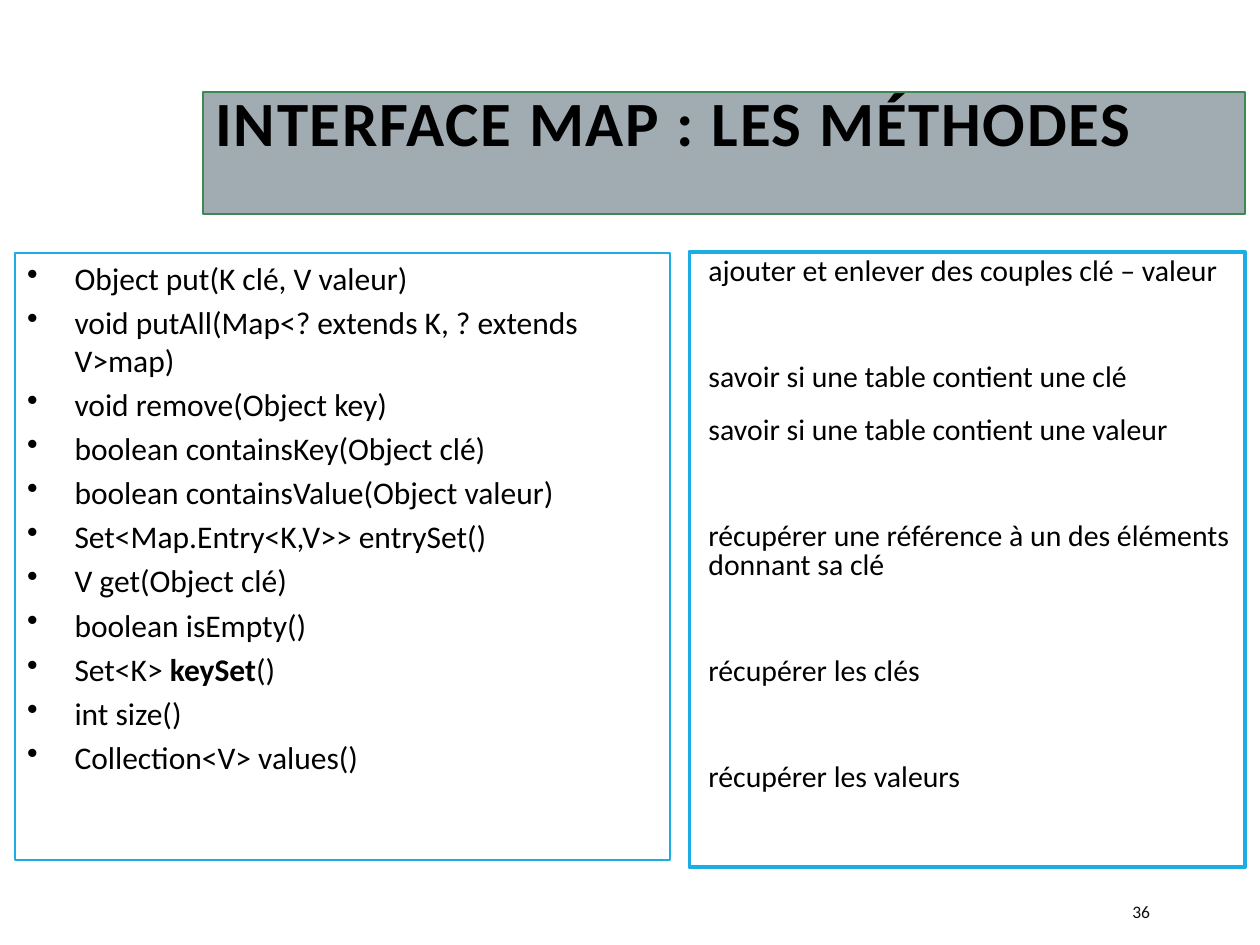
import pptx
import pptx.util
import pptx.dml.color
import pptx.enum.shapes
import pptx.enum.text
from lxml import etree

Pt = pptx.util.Pt
ANCHOR = pptx.enum.text.MSO_ANCHOR
ALIGN = pptx.enum.text.PP_ALIGN
RECT = pptx.enum.shapes.MSO_SHAPE.RECTANGLE
NS = "{http://schemas.openxmlformats.org/drawingml/2006/main}"


def color(code):
    return pptx.dml.color.RGBColor.from_string(code)


class Page:
    font = "Calibri"
    ink = "000000"
    blue = "1CADE4"

    def __init__(self, deck):
        self.slide = deck.slides.add_slide(deck.slide_layouts[6])

    def panel(self, left, top, width, height, line, weight, fill=None, inset=None):
        box = self.slide.shapes.add_shape(
            RECT, Pt(left), Pt(top), Pt(width), Pt(height))
        box.shadow.inherit = False
        if fill:
            box.fill.solid()
            box.fill.fore_color.rgb = color(fill)
        else:
            box.fill.background()
        box.line.color.rgb = color(line)
        box.line.width = Pt(weight)
        frame = box.text_frame
        frame.word_wrap = True
        frame.vertical_anchor = ANCHOR.TOP
        if inset is not None:
            frame.margin_left = frame.margin_right = Pt(inset)
            frame.margin_top = frame.margin_bottom = Pt(inset)
        return frame

    def label(self, left, top, width, height):
        frame = self.slide.shapes.add_textbox(
            Pt(left), Pt(top), Pt(width), Pt(height)).text_frame
        frame.word_wrap = True
        frame.vertical_anchor = ANCHOR.MIDDLE
        return frame

    def style(self, run, size, ink=None, bold=False):
        run.font.name = self.font
        run.font.size = Pt(size)
        run.font.bold = bold
        run.font.color.rgb = color(ink or self.ink)

    def put(self, frame, lines, size, ink=None, bold=False, space=None,
            before=0, after=0, indent=0, bullet=None, strong=None):
        frame.text = "\n".join(lines)
        for para in frame.paragraphs:
            para.alignment = ALIGN.LEFT
            para.line_spacing = space
            para.space_before = Pt(before)
            para.space_after = Pt(after)
            props = para._p.get_or_add_pPr()
            props.set("marL", str(Pt(indent)))
            if bullet:
                props.set("indent", str(-Pt(indent)))
                etree.SubElement(props, NS + "buChar", char=bullet)
            if strong and strong in para.text:
                head, tail = para.text.split(strong)
                para.text = head
                for part in (strong, tail):
                    para.add_run().text = part
            for run in para.runs:
                self.style(run, size, ink, bold or run.text == strong)


def main():
    deck = pptx.Presentation()
    deck.slide_width, deck.slide_height = Pt(720), Pt(540)
    page = Page(deck)

    # Title band
    title = page.panel(116, 52.5, 595.5, 70, "3E8853", 1.25, "A1ACB2")
    page.put(title, ["INTERFACE MAP : LES MÉTHODES"], 36, bold=True, space=0.8)
    title.paragraphs[0].runs[0].font._element.set("spc", "100")

    # What the methods are for; True marks a line that opens a new group
    goals = [
        ("ajouter et enlever des couples clé – valeur", False),
        ("savoir si une table contient une clé", True),
        ("savoir si une table contient une valeur", False),
        ("récupérer une référence à un des éléments donnant sa clé", True),
        ("récupérer les clés", True),
        ("récupérer les valeurs", True),
    ]
    aims = page.panel(394, 144, 317.5, 351.5, page.blue, 2.25, inset=3.6)
    page.put(aims, [text for text, _ in goals], 17,
             space=0.8, before=12, after=2, indent=7.2)
    for para, (_, gap) in zip(aims.paragraphs, goals):
        if gap:
            para.space_before = Pt(42.4)

    # Method list
    calls = [
        "Object put(K clé, V valeur)",
        "void putAll(Map<? extends K, ? extends V>map)",
        "void remove(Object key)",
        "boolean containsKey(Object clé)",
        "boolean containsValue(Object valeur)",
        "Set<Map.Entry<K,V>> entrySet()",
        "V get(Object clé)",
        "boolean isEmpty()",
        "Set<K> keySet()",
        "int size()",
        "Collection<V> values()",
    ]
    listing = page.panel(8.5, 144.5, 374.5, 347, page.blue, 1.25, "FFFFFF")
    page.put(listing, calls, 18, before=3.6, indent=27,
             bullet="•", strong="keySet")

    # Page number
    page.put(page.label(640, 510, 57.5, 21.5), ["36"], 10, ink="0D0D0D")

    deck.save("out.pptx")


if __name__ == "__main__":
    main()
